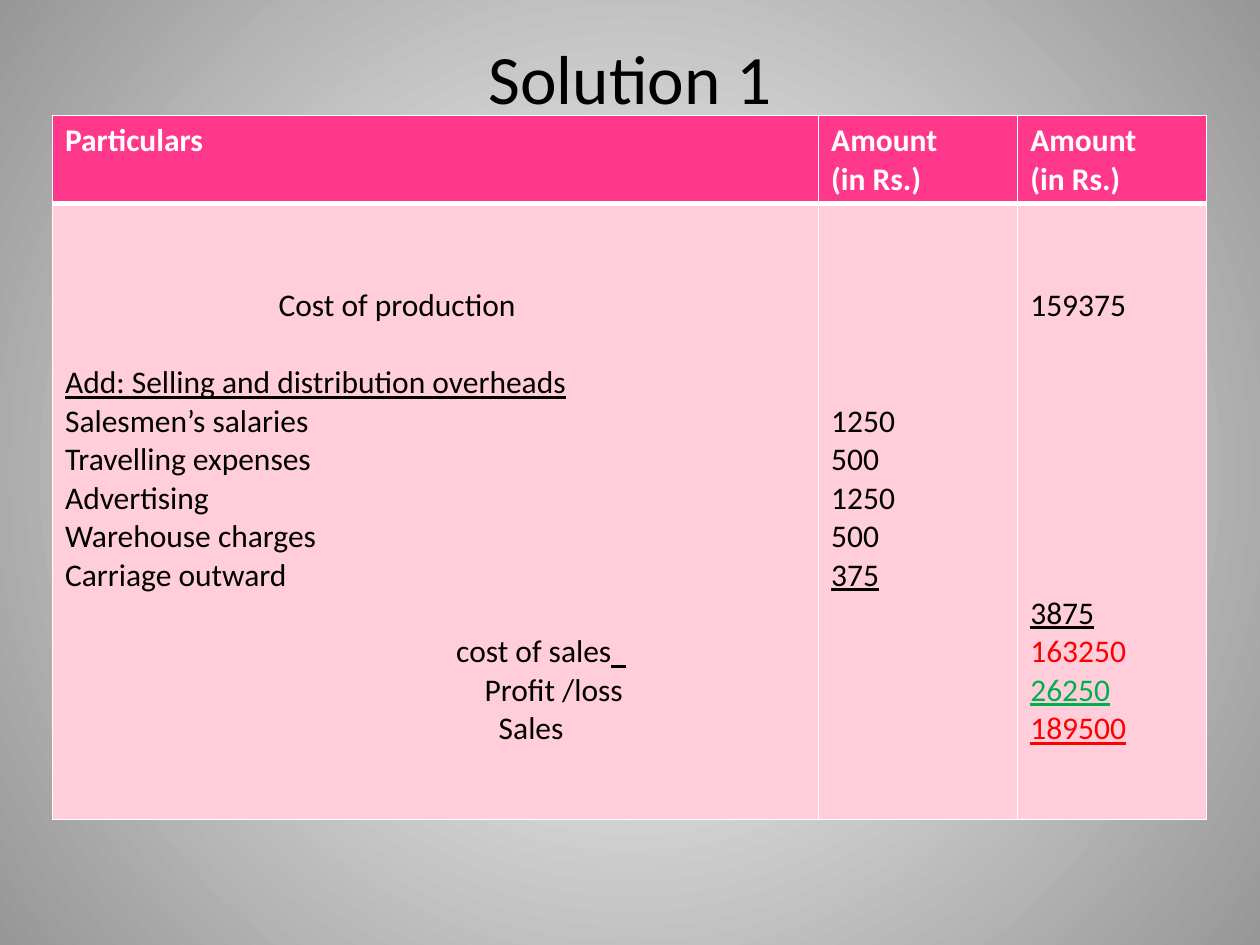
from dataclasses import dataclass, field

import pptx
import pptx.dml.color
import pptx.enum.text
import pptx.oxml.ns
import pptx.util
from lxml import etree

Pt = pptx.util.Pt
RGB = pptx.dml.color.RGBColor
qn = pptx.oxml.ns.qn

BLACK = RGB(0, 0, 0)
WHITE = RGB(255, 255, 255)
GREY = RGB(0x97, 0x97, 0x97)
PINK = RGB(0xFF, 0x38, 0x8C)
BLUSH = RGB(0xFF, 0xCE, 0xDA)
RED = RGB(255, 0, 0)
GREEN = RGB(0, 0xB0, 0x50)

FONT = "Calibri"
LINE = 21.97  # height of one 18 pt line
PAD = 3.6
COLS = (437.8, 113.8, 108)
ROWS = (50, 352)


@dataclass
class Entry:
    text: str
    row: int  # line of the ledger it stands on
    left: float = 0
    under: bool = False
    color: RGB = BLACK
    tail: str = ""  # underlined ending


@dataclass
class Column:
    head: list[str]
    items: list[Entry] = field(default_factory=list)


COSTS = ["Salesmen’s salaries", "Travelling expenses", "Advertising",
         "Warehouse charges", "Carriage outward"]
SPENT = ["1250", "500", "1250", "500", "375"]

LEDGER = [
    Column(["Particulars"], [
        Entry("Cost of production", 2, 122),
        Entry("Add: Selling and distribution overheads", 4, under=True),
        *[Entry(name, row) for row, name in enumerate(COSTS, 5)],
        Entry("cost of sales", 11, 223.5, tail="  "),
        Entry("Profit /loss", 12, 239.7),
        Entry("Sales", 13, 247.8),
    ]),
    Column(["Amount", "(in Rs.)"], [
        Entry(cost, row, under=cost == SPENT[-1])
        for row, cost in enumerate(SPENT, 5)
    ]),
    Column(["Amount", "(in Rs.)"], [
        Entry("159375", 2),
        Entry("3875", 10, under=True),
        Entry("163250", 11, color=RED),
        Entry("26250", 12, under=True, color=GREEN),
        Entry("189500", 13, under=True, color=RED),
    ]),
]


def add_run(para, text: str, color: RGB, **style) -> None:
    run = para.add_run()
    run.text = text
    run.font.color.rgb = color
    for name, value in {"name": FONT, "size": Pt(18), "bold": False, **style}.items():
        setattr(run.font, name, value)


def set_sides(cell, top: float, bottom: float) -> None:
    """Rule the four sides of a cell in white."""
    props = cell._tc.get_or_add_tcPr()
    for spot, (side, width) in enumerate(
            {"L": 1, "R": 1, "T": top, "B": bottom}.items()):
        line = etree.Element(qn(f"a:ln{side}"), w=str(Pt(width)))
        fill = etree.SubElement(line, qn("a:solidFill"))
        etree.SubElement(fill, qn("a:srgbClr"), val=str(WHITE))
        props.insert(spot, line)


def paint_cell(cell, fill: RGB, top: float, bottom: float) -> None:
    cell.fill.solid()
    cell.fill.fore_color.rgb = fill
    set_sides(cell, top, bottom)


def fill_head(cell, lines: list[str]) -> None:
    paint_cell(cell, PINK, 1, 3)
    frame = cell.text_frame
    for spot, text in enumerate(lines):
        para = frame.add_paragraph() if spot else frame.paragraphs[0]
        add_run(para, text, WHITE, bold=True)


def fill_body(cell, items: list[Entry]) -> None:
    """Set each entry on its ledger line; gaps become spacing."""
    paint_cell(cell, BLUSH, 3, 1)
    cell.margin_top = Pt(PAD + items[0].row * LINE)
    frame = cell.text_frame
    last = items[0].row
    for spot, item in enumerate(items):
        para = frame.add_paragraph() if spot else frame.paragraphs[0]
        gap = item.row - last - 1
        if gap > 0:
            para.space_before = Pt(gap * LINE)
        if item.left:
            para._p.get_or_add_pPr().set("marL", str(Pt(item.left)))
        add_run(para, item.text, item.color, underline=item.under)
        if item.tail:
            add_run(para, item.tail, item.color, underline=True)
        last = item.row


def paint_back(slide) -> None:
    """Fade from a white centre to grey edges."""
    fill = slide.background.fill
    fill.gradient()
    for stop, color in zip(fill.gradient_stops, (WHITE, GREY)):
        stop.color.rgb = color
    grad = slide.background._cSld.find(".//" + qn("a:gradFill"))
    grad.remove(grad.find(qn("a:lin")))
    ring = etree.SubElement(grad, qn("a:path"), path="circle")
    etree.SubElement(ring, qn("a:fillToRect"), dict.fromkeys("ltrb", "50000"))


def add_title(slide, text: str) -> None:
    frame = slide.shapes.add_textbox(Pt(36), Pt(21.6), Pt(648), Pt(44.6)).text_frame
    frame.word_wrap = True
    frame.vertical_anchor = pptx.enum.text.MSO_ANCHOR.MIDDLE
    para = frame.paragraphs[0]
    para.alignment = pptx.enum.text.PP_ALIGN.CENTER
    add_run(para, text, BLACK, size=Pt(39.6))


def add_ledger(slide) -> None:
    table = slide.shapes.add_table(
        len(ROWS), len(COLS), Pt(30), Pt(66), Pt(sum(COLS)), Pt(sum(ROWS))).table
    table.horz_banding = False
    for row, height in zip(table.rows, ROWS):
        row.height = Pt(height)
    for spot, (column, width) in enumerate(zip(LEDGER, COLS)):
        table.columns[spot].width = Pt(width)
        fill_head(table.cell(0, spot), column.head)
        fill_body(table.cell(1, spot), column.items)


def main() -> None:
    deck = pptx.Presentation()
    deck.slide_width, deck.slide_height = Pt(720), Pt(540)
    slide = deck.slides.add_slide(deck.slide_layouts[6])
    paint_back(slide)
    add_title(slide, "Solution 1")
    add_ledger(slide)
    deck.save("out.pptx")


if __name__ == "__main__":
    main()
